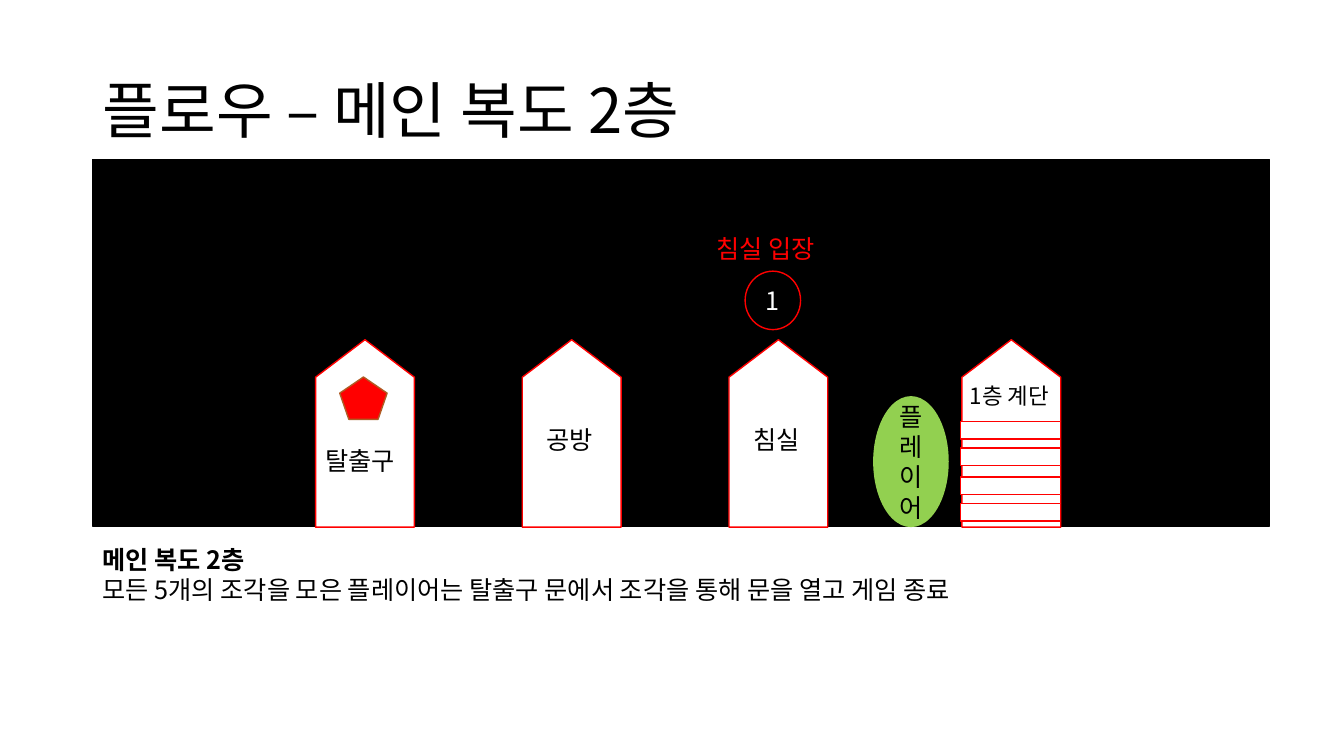
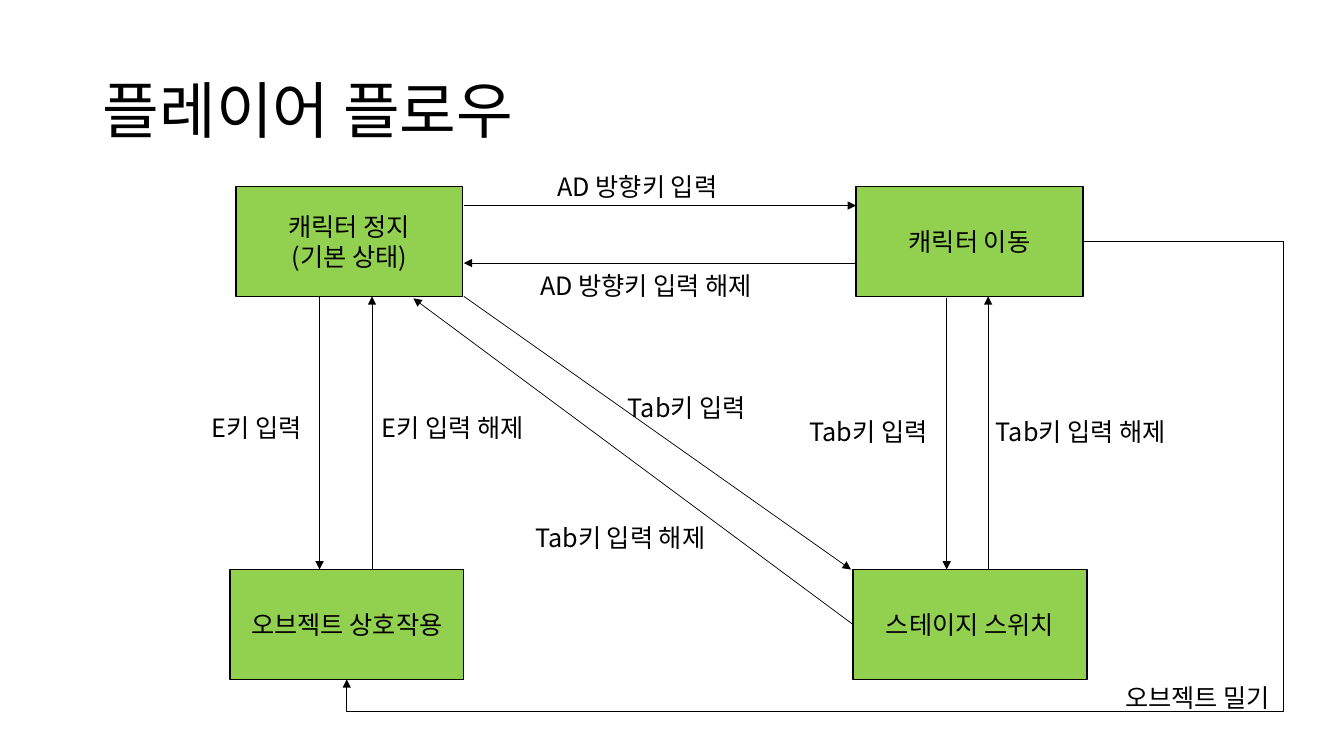
from typing import NamedTuple, Optional

from pptx import Presentation
from pptx import util as u
from pptx.dml.color import RGBColor
from pptx.enum import shapes, text
from pptx.oxml.ns import qn
from lxml import etree

FONT = "Noto Sans CJK KR"
BLACK = RGBColor(0, 0, 0)
WHITE = RGBColor(255, 255, 255)
RED = RGBColor(255, 0, 0)
GREEN = RGBColor(0x92, 0xD0, 0x50)
BROWN = RGBColor(0xAF, 0x5C, 0x24)
KIND = shapes.MSO_SHAPE
LINK = shapes.MSO_CONNECTOR


class Rect(NamedTuple):
    left: float
    top: float
    width: float
    height: float


class Label(NamedTuple):
    words: str
    left: float
    top: float
    width: float
    size: int = 18
    color: RGBColor = BLACK


class Node(NamedTuple):
    words: str
    area: Rect


class Arrow(NamedTuple):
    x1: float
    y1: float
    x2: float
    y2: float


def write(frame, words: str, *, size: float = 18, color: RGBColor = BLACK,
          align=None, anchor=text.MSO_ANCHOR.TOP, space: Optional[float] = None,
          head: bool = False) -> None:
    frame.word_wrap = True
    frame.vertical_anchor = anchor
    for i, line in enumerate(words.split("\n")):
        para = frame.paragraphs[0] if i == 0 else frame.add_paragraph()
        para.alignment = align
        para.line_spacing = space
        run = para.add_run()
        run.text = line
        font = run.font
        font.size = u.Pt(size)
        font.name = FONT
        font.color.rgb = color
        font.bold = head and i == 0
        east = etree.SubElement(run._r.get_or_add_rPr(), qn("a:ea"))
        east.set("typeface", FONT)


def place(area: Rect) -> list:
    return [u.Inches(n) for n in area]


def draw(slide, kind, area: Rect, fill: Optional[RGBColor] = None,
         line: Optional[RGBColor] = None, words: str = "",
         color: RGBColor = BLACK):
    shape = slide.shapes.add_shape(kind, *place(area))
    shape.shadow.inherit = False
    if fill is None:
        shape.fill.background()
    else:
        shape.fill.solid()
        shape.fill.fore_color.rgb = fill
    if line is None:
        shape.line.fill.background()
    else:
        shape.line.color.rgb = line
        shape.line.width = u.Pt(1)
    if words:
        write(shape.text_frame, words, color=color,
              align=text.PP_ALIGN.CENTER, anchor=text.MSO_ANCHOR.MIDDLE)
    return shape


def note(slide, label: Label, height: float = 0.4, head: bool = False) -> None:
    area = Rect(label.left, label.top, label.width, height)
    box = slide.shapes.add_textbox(*place(area))
    write(box.text_frame, label.words, size=label.size, color=label.color,
          head=head)
    box.text_frame.auto_size = text.MSO_AUTO_SIZE.SHAPE_TO_FIT_TEXT


def join(slide, arrow: Arrow, kind=LINK.STRAIGHT):
    line = slide.shapes.add_connector(kind, *[u.Inches(n) for n in arrow])
    line.line.color.rgb = BLACK
    line.line.width = u.Pt(0.5)
    tip = etree.SubElement(line.line._get_or_add_ln(), qn("a:tailEnd"))
    tip.set("type", "triangle")
    etree.SubElement(line._element.spPr, qn("a:effectLst"))
    return line


def bend(line, *ratios: float) -> None:
    geom = line._element.spPr.find(qn("a:prstGeom"))
    geom.set("prst", "bentConnector4")
    guides = geom.get_or_add_avLst()
    for i, ratio in enumerate(ratios, 1):
        guide = etree.SubElement(guides, qn("a:gd"))
        guide.set("name", f"adj{i}")
        guide.set("fmla", f"val {round(ratio * 100000)}")


def start(deck, title: str):
    slide = deck.slides.add_slide(deck.slide_layouts[6])
    box = slide.shapes.add_textbox(*place(Rect(0.92, 0.4, 11.5, 1.45)))
    write(box.text_frame, title, size=44, space=0.9,
          anchor=text.MSO_ANCHOR.MIDDLE)
    return slide


def hall(deck) -> None:
    slide = start(deck, "플로우 – 메인 복도 2층")
    draw(slide, KIND.RECTANGLE, Rect(0.92, 1.58, 11.67, 3.64), BLACK, BLACK)
    for left in (3.13, 5.18, 7.23, 9.54):
        door = draw(slide, KIND.FLOWCHART_OFFPAGE_CONNECTOR,
                    Rect(left, 3.37, 0.98, 1.86), WHITE, RED)
        door.rotation = 180
    for top in (4.58, 4.03):
        draw(slide, KIND.MATH_EQUAL, Rect(9.35, top, 1.35, 0.74), WHITE, RED)
    draw(slide, KIND.OVAL, Rect(8.66, 3.93, 0.75, 1.3), GREEN,
         words="플레이어")
    draw(slide, KIND.REGULAR_PENTAGON, Rect(3.37, 3.74, 0.47, 0.42), RED, BROWN)
    draw(slide, KIND.OVAL, Rect(7.39, 2.69, 0.55, 0.58), line=RED,
         words="1", color=WHITE)
    for label in (
        Label("탈출구", 3.13, 4.37, 0.98),
        Label("공방", 5.32, 4.16, 0.98),
        Label("침실", 7.37, 4.16, 0.98),
        Label("1층 계단", 9.52, 3.74, 1.11, size=16),
        Label("침실 입장", 7.01, 2.27, 1.39, color=RED),
    ):
        note(slide, label)
    story = ("메인 복도 2층\n모든 5개의 조각을 모은 플레이어는 "
             "탈출구 문에서 조각을 통해 문을 열고 게임 종료")
    note(slide, Label(story, 0.92, 5.35, 11.67), height=0.71, head=True)


def keys(deck) -> None:
    slide = start(deck, "플레이어 플로우")
    nodes = (
        Node("캐릭터 정지\n(기본 상태)", Rect(2.34, 1.85, 2.25, 1.09)),
        Node("캐릭터 이동", Rect(8.49, 1.85, 2.25, 1.09)),
        Node("오브젝트 상호작용", Rect(2.28, 5.65, 2.32, 1.09)),
        Node("스테이지 스위치", Rect(8.46, 5.65, 2.32, 1.09)),
    )
    _, move, act, switch = [
        draw(slide, KIND.RECTANGLE, node.area, GREEN, BLACK, node.words)
        for node in nodes
    ]
    for arrow in (
        Arrow(4.6, 2.04, 8.49, 2.04),
        Arrow(8.49, 2.61, 4.6, 2.61),
        Arrow(9.39, 2.96, 9.39, 5.65),
        Arrow(9.8, 5.65, 9.8, 2.94),
        Arrow(3.69, 5.65, 3.69, 2.94),
        Arrow(3.17, 2.94, 3.17, 5.65),
        Arrow(4.6, 2.94, 8.44, 5.65),
    ):
        join(slide, arrow)
    back = join(slide, Arrow(8.46, 6.2, 4.1, 2.96))
    back.begin_connect(switch, 1)
    push = join(slide, Arrow(10.74, 2.4, 3.44, 6.74), LINK.ELBOW)
    push.begin_connect(move, 3)
    push.end_connect(act, 2)
    bend(push, -0.272, 1.073)
    for label in (
        Label("AD 방향키 입력", 5.43, 1.65, 2.01),
        Label("AD 방향키 입력 해제", 5.26, 2.63, 2.57),
        Label("E키 입력", 2, 4.04, 1.17),
        Label("E키 입력 해제", 3.69, 4.04, 2.06),
        Label("Tab키 입력", 7.93, 4.08, 1.56),
        Label("Tab키 입력 해제", 5.21, 5.13, 2.07),
        Label("Tab키 입력", 6.13, 3.84, 1.56),
        Label("Tab키 입력 해제", 9.78, 4.08, 2.07),
        Label("오브젝트 밀기", 11.06, 6.72, 1.91),
    ):
        note(slide, label)


def main() -> None:
    deck = Presentation()
    deck.slide_width = u.Inches(13.33)
    deck.slide_height = u.Inches(7.5)
    hall(deck)
    keys(deck)
    deck.save("out.pptx")


if __name__ == "__main__":
    main()
